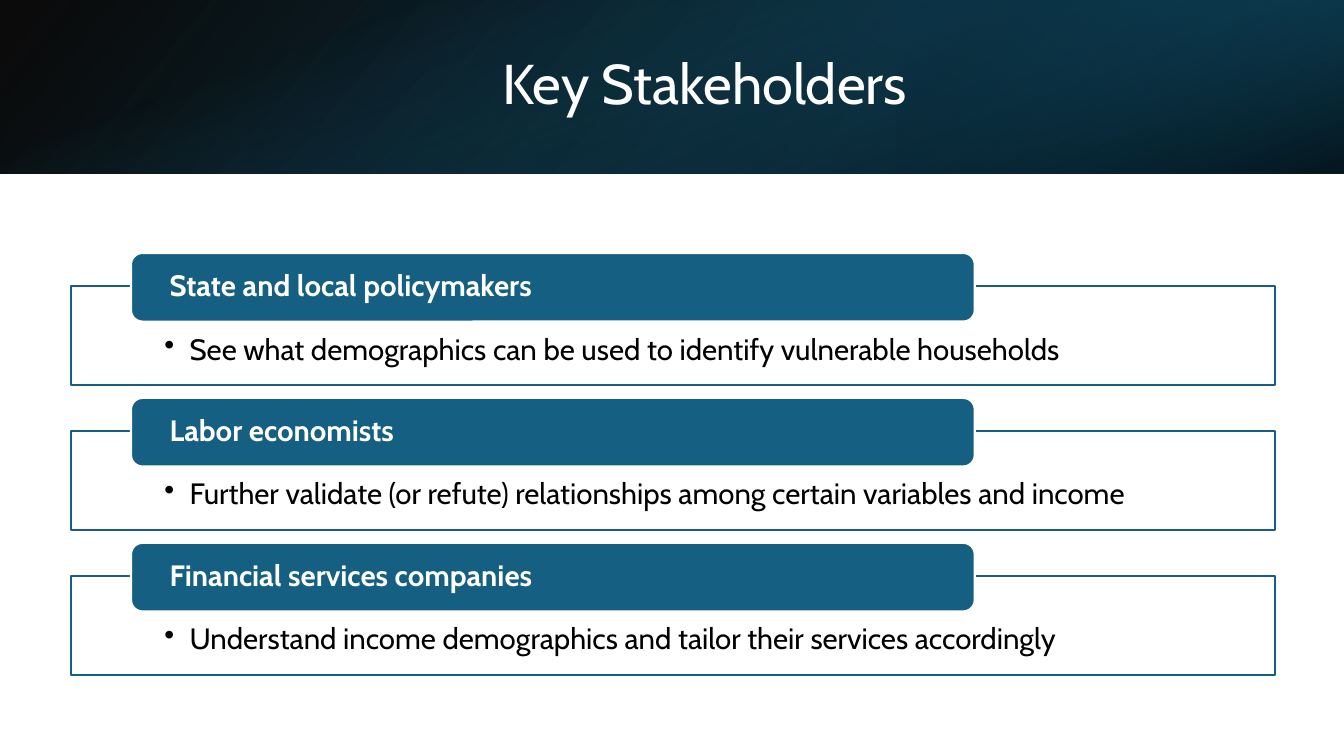
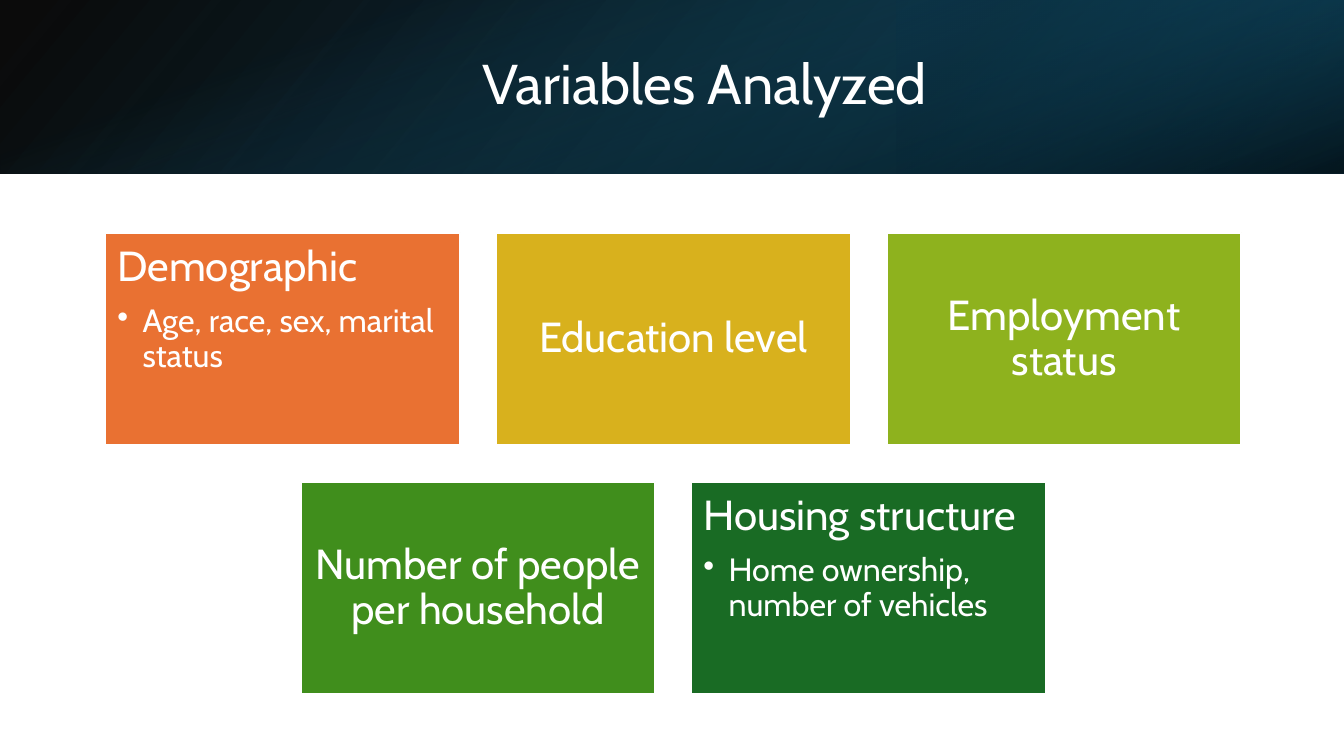
from lxml import etree
from pptx import Presentation
from pptx.dml.color import RGBColor
from pptx.enum.shapes import MSO_SHAPE as Shape
from pptx.enum.text import MSO_ANCHOR as Anchor, MSO_AUTO_SIZE as AutoSize, PP_ALIGN as Align
from pptx.oxml.ns import qn
from pptx.util import Inches, Pt

WHITE = RGBColor(0xFF, 0xFF, 0xFF)
BLACK = RGBColor(0x00, 0x00, 0x00)
BLUE = RGBColor(0x15, 0x60, 0x82)
DEEP_BLUE = RGBColor(0x10, 0x48, 0x62)
NIGHT_BLUE = RGBColor(0x0B, 0x30, 0x41)
ORANGE = RGBColor(0xE9, 0x71, 0x32)
GOLD = RGBColor(0xD8, 0xB1, 0x1D)
LIME = RGBColor(0x8E, 0xB2, 0x1E)
GREEN = RGBColor(0x40, 0x8E, 0x1C)
FOREST = RGBColor(0x19, 0x6B, 0x24)

TITLE_ONLY = 5
BAND_HEIGHT = 22.93

STAKEHOLDERS = [
    ("State and local policymakers",
     "See what demographics can be used to identify vulnerable households"),
    ("Labor economists",
     "Further validate (or refute) relationships among certain variables and income"),
    ("Financial services companies",
     "Understand income demographics and tailor their services accordingly"),
]
VARIABLE_ROWS = [
    [("Demographic", "Age, race, sex, marital status", ORANGE),
     ("Education level", None, GOLD),
     ("Employment status", None, LIME)],
    [("Number of people per household", None, GREEN),
     ("Housing structure", "Home ownership, number of vehicles", FOREST)],
]


class Deck:
    """Style and current slide; places are percentages of the slide's size."""

    font = "Cabin"
    line_width = Pt(1.5)

    def __init__(self):
        self.file = Presentation()
        self.file.slide_width = Inches(13.33)
        self.file.slide_height = Inches(7.5)
        self.slide = None

    def place(self, left, top, width, height):
        across, down = self.file.slide_width / 100, self.file.slide_height / 100
        return [round(v) for v in (left * across, top * down, width * across, height * down)]

    def start(self, heading):
        layout = self.file.slide_layouts[TITLE_ONLY]
        self.slide = self.file.slides.add_slide(layout)
        self.band()
        title = self.slide.shapes.title
        title.left, title.top, title.width, title.height = self.place(11.25, 5.07, 82.35, 12.8)
        self.slide.shapes._spTree.append(title._element)  # bring in front of the band
        self.set_text(title, [(heading, 40, None)], WHITE, align=Align.CENTER)

    def band(self):
        self.wash((0, 0, 100, BAND_HEIGHT), 140, [(0, BLACK, 96), (100, DEEP_BLUE, 100)], flip=True)
        self.wash((66.7, 0, 33.3, BAND_HEIGHT), 320, [(19, NIGHT_BLUE, 68), (100, BLUE, 79)],
                  turn=180, flip=True)
        self.wash((0, 0, 100, BAND_HEIGHT), 340, [(23, BLUE, 0), (99, BLACK, 74)], turn=90)

    def wash(self, area, angle, stops, turn=0, flip=False):
        """Rectangle covering area once turned, with a gradient of (position, colour, opacity)."""
        left, top, width, height = self.place(*area)
        if turn == 90:
            left, top = left + (width - height) // 2, top + (height - width) // 2
            width, height = height, width
        veil = self.slide.shapes.add_shape(Shape.RECTANGLE, left, top, width, height)
        veil.shadow.inherit = False
        veil.rotation = turn
        veil.line.fill.background()
        props = veil._element.spPr
        if flip:
            props.find(qn("a:xfrm")).set("flipH", "1")
        gradient = etree.Element(qn("a:gradFill"), rotWithShape="1")
        stop_list = etree.SubElement(gradient, qn("a:gsLst"))
        for position, colour, opacity in stops:
            stop = etree.SubElement(stop_list, qn("a:gs"), pos=str(position * 1000))
            tint = etree.SubElement(stop, qn("a:srgbClr"), val=str(colour))
            etree.SubElement(tint, qn("a:alpha"), val=str(opacity * 1000))
        etree.SubElement(gradient, qn("a:lin"), ang=str(angle * 60000), scaled="0")
        props.find(qn("a:prstGeom")).addnext(gradient)

    def box(self, area, fill, line=WHITE, kind=Shape.RECTANGLE):
        panel = self.slide.shapes.add_shape(kind, *self.place(*area))
        panel.shadow.inherit = False
        panel.fill.solid()
        panel.fill.fore_color.rgb = fill
        panel.line.color.rgb = line
        panel.line.width = self.line_width
        return panel

    def set_text(self, holder, lines, colour, align=Align.LEFT, anchor=Anchor.MIDDLE,
                 insets=(0.1, 0.05), bold=False):
        """Fill holder with lines of (text, size, bullet); insets are side and top, in inches."""
        frame = holder.text_frame
        frame.word_wrap = True
        frame.auto_size = AutoSize.NONE
        frame.vertical_anchor = anchor
        frame.margin_left = frame.margin_right = Inches(insets[0])
        frame.margin_top = frame.margin_bottom = Inches(insets[1])
        for number, (text, size, bullet) in enumerate(lines):
            paragraph = frame.add_paragraph() if number else frame.paragraphs[0]
            paragraph.text = text
            paragraph.alignment = align
            paragraph.line_spacing = 0.9
            if number < len(lines) - 1:
                paragraph.space_after = Pt(size * 0.35)
            paragraph.font.name = self.font
            paragraph.font.size = Pt(size)
            paragraph.font.bold = bold
            paragraph.font.color.rgb = colour
            if bullet:
                self.add_bullet(paragraph, bullet)

    def add_bullet(self, paragraph, mark):
        props = paragraph._p.get_or_add_pPr()
        hang = Inches(0.25)
        props.set("marL", str(hang))
        props.set("indent", str(-hang))
        bullet = etree.Element(qn("a:buChar"), char=mark)
        props.find(qn("a:defRPr")).addprevious(bullet)

    def stakeholder(self, row, name, purpose):
        drop = row * 19.17
        frame = self.box((5.25, 37.87 + drop, 89.63, 13.07), WHITE, BLUE)
        self.set_text(frame, [(purpose, 21, "•")], BLACK, anchor=Anchor.TOP, insets=(0.93, 0.48))
        label = self.box((9.75, 33.47 + drop, 62.78, 9.07), BLUE, kind=Shape.ROUNDED_RECTANGLE)
        self.set_text(label, [(name, 21, None)], WHITE, insets=(0.35, 0), bold=True)

    def tile_row(self, row, tiles):
        """Row of equal tiles, centred on the slide."""
        width, height, step_across, step_down = 26.4, 28.13, 29.07, 32.93
        first = 50.1 - (width + step_across * (len(tiles) - 1)) / 2
        for column, (name, detail, colour) in enumerate(tiles):
            tile = self.box((first + column * step_across, 30.8 + row * step_down, width, height),
                            colour)
            lines = [(name, 30, None)]
            if detail:
                lines.append((detail, 23, "•"))
            self.set_text(tile, lines, WHITE, insets=(0.12, 0.12),
                          align=Align.LEFT if detail else Align.CENTER,
                          anchor=Anchor.TOP if detail else Anchor.MIDDLE)


def main():
    deck = Deck()
    deck.start("Key Stakeholders")
    for row, (name, purpose) in enumerate(STAKEHOLDERS):
        deck.stakeholder(row, name, purpose)
    deck.start("Variables Analyzed")
    for row, tiles in enumerate(VARIABLE_ROWS):
        deck.tile_row(row, tiles)
    deck.file.save("out.pptx")


if __name__ == "__main__":
    main()
